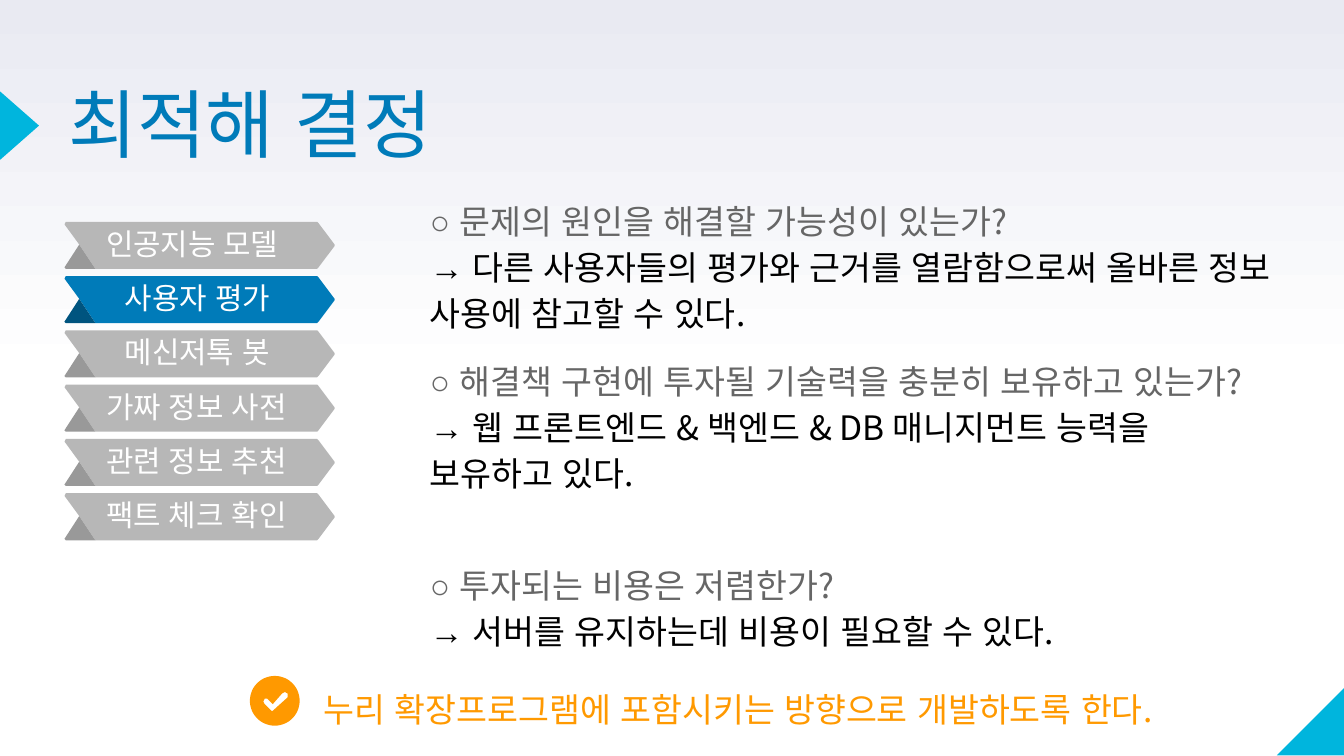
from math import cos, pi, sin

from lxml.etree import SubElement
from pptx import Presentation
from pptx.dml.color import RGBColor
from pptx.enum.shapes import MSO_SHAPE as Shape
from pptx.enum.text import MSO_ANCHOR as Anchor, PP_ALIGN as Align
from pptx.oxml.ns import qn
from pptx.util import Inches, Pt

WHITE = RGBColor(0xFF, 0xFF, 0xFF)
BLACK = RGBColor(0, 0, 0)
LILAC = RGBColor(0xE9, 0xEA, 0xF2)
CYAN = RGBColor(0x00, 0xB5, 0xDD)
BLUE = RGBColor(0x00, 0x7B, 0xB9)
NAVY = RGBColor(0x00, 0x54, 0x7F)
SILVER = RGBColor(0xB7, 0xB7, 0xB7)
GRAY = RGBColor(0x99, 0x99, 0x99)
SLATE = RGBColor(0x66, 0x66, 0x66)
ORANGE = RGBColor(0xFF, 0x99, 0x00)

SANS = "Noto Sans CJK KR"
EAST = "Arial"

# Label, left and width of its text
STEPS = [
    ("인공지능 모델", 0.79, 1.46),
    ("사용자 평가", 0.93, 1.18),
    ("메신저톡 봇", 0.93, 1.18),
    ("가짜 정보 사전", 0.79, 1.46),
    ("관련 정보 추천", 0.79, 1.46),
    ("팩트 체크 확인", 0.79, 1.46),
]
ACTIVE = 1
STEP_TOP, STEP_END = 1.65, 3.67
STEP_GAP = (STEP_END - STEP_TOP) / (len(STEPS) - 1)

# Top, question and answer
CHECKS = [
    (1.4, "문제의 원인을 해결할 가능성이 있는가?",
     "→ 다른 사용자들의 평가와 근거를 열람함으로써 올바른 정보 사용에 참고할 수 있다."),
    (2.59, "해결책 구현에 투자될 기술력을 충분히 보유하고 있는가?",
     "→ 웹 프론트엔드 & 백엔드 & DB 매니지먼트 능력을 보유하고 있다."),
    (4.11, "투자되는 비용은 저렴한가?",
     "→ 서버를 유지하는데 비용이 필요할 수 있다."),
]

RIBBON = [(0.01, 0), (1.88, 0), (1.89, 0.01), (2.01, 0.17), (2.01, 0.18),
          (1.89, 0.34), (1.88, 0.35), (0.23, 0.35), (0.11, 0.17), (0, 0.02)]
FOLD = [(0.11, 0.17), (0, 0.34), (0.01, 0.35), (0.23, 0.35)]
TICK = [(0.26, 0.12), (0.28, 0.13), (0.28, 0.16), (0.18, 0.25), (0.17, 0.26),
        (0.16, 0.26), (0.11, 0.21), (0.1, 0.19), (0.11, 0.17), (0.13, 0.17),
        (0.17, 0.21), (0.24, 0.13)]


def paint(shape, color):
    shape.shadow.inherit = False
    shape.fill.solid()
    shape.fill.fore_color.rgb = color
    shape.line.fill.background()


def add_form(shapes, left, top, color, *loops):
    """Draw closed loops as one outline; a loop inside another is a hole."""
    loops = [[(Inches(left + x), Inches(top + y)) for x, y in loop]
             for loop in loops]
    pen = shapes.build_freeform(*loops[0][0])
    pen.add_line_segments(loops[0][1:])
    for loop in loops[1:]:
        pen.move_to(*loop[0])
        pen.add_line_segments(loop[1:])
    paint(pen.convert_to_shape(), color)


def add_mark(slide, kind, left, top, width, height, turn):
    mark = slide.shapes.add_shape(
        kind, Inches(left), Inches(top), Inches(width), Inches(height))
    mark.rotation = turn
    paint(mark, CYAN)


def add_run(para, text, font, size, color, bold=False):
    """Add a run; the East Asian font sets the width of its spaces."""
    run = para.add_run()
    run.text = text
    run.font.name = font
    run.font.size = Pt(size)
    run.font.bold = bold
    run.font.color.rgb = color
    SubElement(run._r.get_or_add_rPr(), qn("a:ea"), typeface=EAST)


def add_box(slide, left, top, width, height):
    box = slide.shapes.add_textbox(
        Inches(left), Inches(top), Inches(width), Inches(height))
    box.text_frame.word_wrap = True
    return box.text_frame


def set_head(frame, text, font, size, color):
    """Fill a frame with one tight line and no margins."""
    frame.margin_left = frame.margin_right = 0
    frame.margin_top = frame.margin_bottom = 0
    frame.vertical_anchor = Anchor.TOP
    para = frame.paragraphs[0]
    para.alignment = Align.LEFT
    para.line_spacing = 0.8
    add_run(para, text, font, size, color)


def add_title(slide):
    title = slide.shapes.title
    title.left, title.top = Inches(0.51), Inches(0.71)
    title.width, title.height = Inches(6.66), Inches(0.59)
    set_head(title.text_frame, "최적해 결정", "Roboto", 40, BLUE)


def add_step(slide, top, label, left, width, active):
    group = slide.shapes.add_group_shape()
    add_form(group.shapes, 0.48, top, BLUE if active else SILVER, RIBBON)
    add_form(group.shapes, 0.48, top, NAVY if active else GRAY, FOLD)
    frame = add_box(slide, left, top + 0.08, width, 0.2)
    set_head(frame, label, "Arial", 16, WHITE)


def add_check(slide, top, ask, reply):
    frame = add_box(slide, 3.1, top, 6.53, 0.51)
    first, second = frame.paragraphs[0], frame.add_paragraph()
    first.line_spacing = second.line_spacing = Pt(24.8)
    add_run(first, "○ ", SANS, 18, SLATE, True)
    add_run(first, ask, SANS, 18, SLATE)
    add_run(second, reply, SANS, 18, BLACK)


def add_verdict(slide):
    mid, count = 0.185, 60
    turns = [2 * pi * i / count for i in range(count)]
    disc = [(mid + mid * cos(a), mid + mid * sin(a)) for a in turns]
    add_form(slide.shapes, 1.86, 5.03, ORANGE, disc, TICK)
    para = add_box(slide, 2.31, 5.03, 7.17, 0.37).paragraphs[0]
    para.line_spacing = Pt(24.8)
    add_run(para, "누리 확장프로그램에 포함시키는 방향으로 개발하도록 한다.",
            SANS, 18, ORANGE)


def set_back(slide):
    fill = slide.background.fill
    fill.gradient()
    fill.gradient_angle = 90
    for stop, place, color in zip(fill.gradient_stops, (0.5, 1), (WHITE, LILAC)):
        stop.position = place
        stop.color.rgb = color


def main():
    deck = Presentation()
    deck.slide_width = Inches(10)
    deck.slide_height = Inches(10 * 9 / 16)
    slide = deck.slides.add_slide(deck.slide_layouts[5])
    set_back(slide)
    add_mark(slide, Shape.RIGHT_TRIANGLE, 9.5, 5.11, 0.51, 0.51, 270)
    add_mark(slide, Shape.ISOSCELES_TRIANGLE, -0.11, 0.79, 0.51, 0.29, 90)
    add_title(slide)
    for i, (label, left, width) in enumerate(STEPS):
        add_step(slide, STEP_TOP + i * STEP_GAP, label, left, width, i == ACTIVE)
    for check in CHECKS:
        add_check(slide, *check)
    add_verdict(slide)
    deck.save("out.pptx")


if __name__ == "__main__":
    main()
